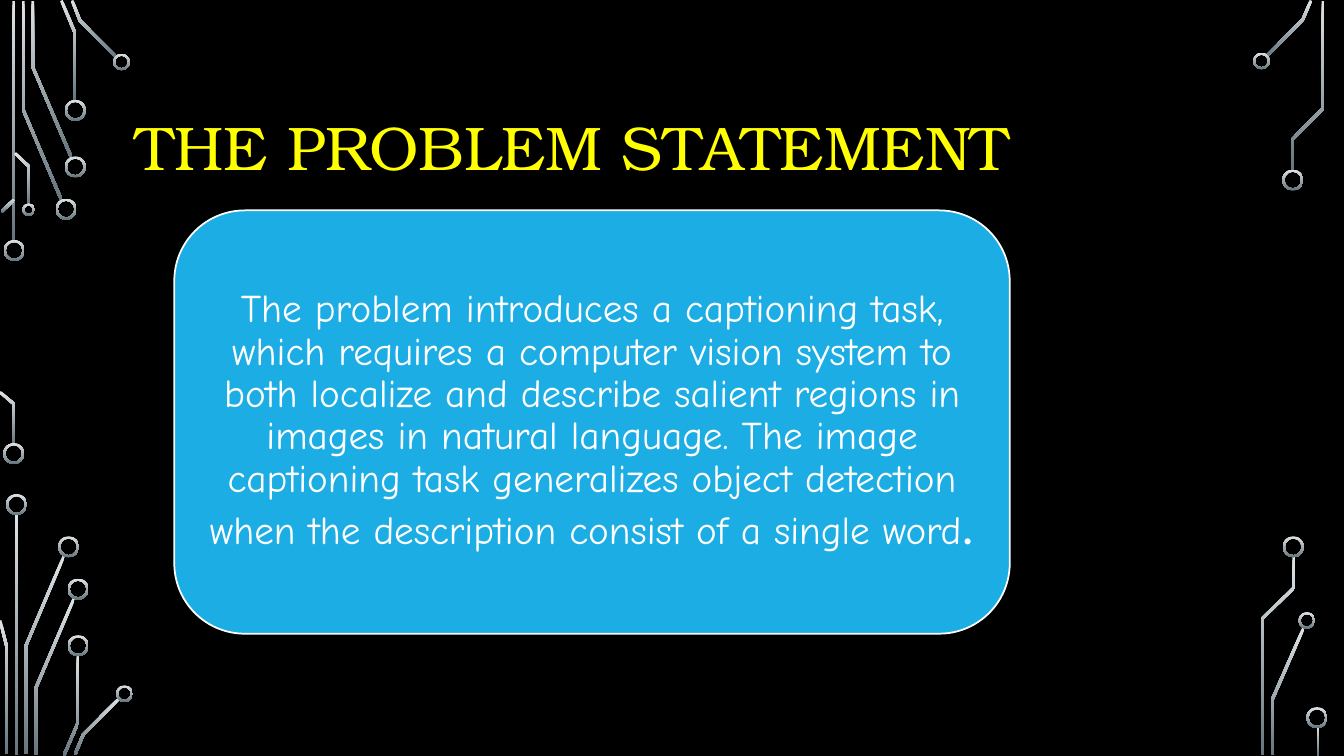
from math import hypot

from pptx import Presentation
from pptx.dml.color import RGBColor
from pptx.enum.shapes import MSO_SHAPE
from pptx.enum.text import MSO_ANCHOR, PP_ALIGN
from pptx.util import Pt

DONUT = MSO_SHAPE.DONUT
ROUND = MSO_SHAPE.ROUNDED_RECTANGLE
MIDDLE = MSO_ANCHOR.MIDDLE
CENTER = PP_ALIGN.CENTER
LEFT = PP_ALIGN.LEFT

BLACK = RGBColor(0x00, 0x00, 0x00)
WHITE = RGBColor(0xFF, 0xFF, 0xFF)
YELLOW = RGBColor(0xFF, 0xFF, 0x00)
BLUE = RGBColor(0x1C, 0xAD, 0xE4)
SILVER = RGBColor(0xDF, 0xE3, 0xE5)
SLATE = RGBColor(0x65, 0x75, 0x7D)

TRACE = 2
RIM = 1.5
BIG, MID, TINY = 15, 12, 9

TITLE = "THE PROBLEM STATEMENT"
BODY = (
    "The problem introduces a captioning task, which requires a computer vision "
    "system to both localize and describe salient regions in images in natural "
    "language. The image captioning task generalizes object detection when the "
    "description consist of a single word"
)

CORNERS = [
    {
        "box": (0, 0),
        "lines": [
            [(9.9, 0.7), (9.9, 172)],
            [(16.6, 0.7), (16.6, 78.5), (43.9, 142.9)],
            [(23.4, 0.7), (23.4, 47.9), (51.1, 112.7)],
            [(43.9, 0.4), (53.7, 23.8), (53.7, 72)],
            [(51.5, 0.4), (57.2, 14.8), (83.2, 41)],
            [(1.1, 151.2), (10.1, 142.6)],
            [(10.8, 109.4), (20.9, 119.2), (20.9, 146.2)],
        ],
        "rings": [
            (10.1, 178.9, BIG), (47.2, 149.4, BIG), (53.8, 119.2, BIG),
            (53.8, 78.8, BIG), (86.8, 44.3, MID), (20.5, 149.8, TINY),
        ],
    },
    {
        "box": (0, 270),
        "lines": [
            [(0, 10.1), (10.1, 18.7), (10.1, 47.5)],
            [(11.7, 97.2), (11.7, 269.3)],
            [(18.4, 268.6), (18.4, 191.5), (45.7, 127.1)],
            [(4.7, 268.6), (4.7, 191.5), (0, 173.2)],
            [(25.6, 269.3), (25.6, 221.4), (52.9, 157.3)],
            [(45.7, 269.6), (55.8, 246.2), (55.8, 198)],
            [(53.6, 268.9), (59.4, 254.9), (85, 229)],
        ],
        "rings": [
            (9.8, 54, BIG), (11.8, 90.4, BIG), (49, 120.6, BIG),
            (55.8, 150.8, BIG), (55.8, 191.2, BIG), (88.9, 225.5, MID),
        ],
    },
    {
        "box": (900, 0),
        "lines": [
            [(5, 40), (30.6, 14), (36.4, 0.4)],
            [(23, 121.7), (23, 99.7), (45, 77.4), (45, 0.7)],
        ],
        "rings": [(1.1, 43.6, MID), (23.4, 128.6, BIG)],
    },
    {
        "box": (900, 370),
        "lines": [
            [(9, 169.3), (9, 129.3), (31, 78.9)],
            [(1.8, 169.3), (1.8, 71.7), (24.1, 50.1), (24.1, 27.4)],
            [(41.4, 149.1), (41.4, 169.3)],
        ],
        "rings": [(33.5, 73.2, MID), (23.8, 20.6, BIG), (40.7, 142.6, BIG)],
    },
]


def style(item, values):
    for name, value in values.items():
        setattr(item, name, value)


def shade(shape):
    shape.shadow.inherit = False
    shape.line.fill.background()
    shape.fill.gradient()
    shape.fill.gradient_angle = 270
    for stop, color in zip(shape.fill.gradient_stops, (SILVER, SLATE)):
        stop.color.rgb = color


def outline(points):
    norms = []
    for (ax, ay), (bx, by) in zip(points, points[1:]):
        size = hypot(bx - ax, by - ay)
        norms.append(((ay - by) / size, (bx - ax) / size))
    near, far = [], []
    for (x, y), (px, py), (qx, qy) in zip(points, norms[:1] + norms, norms + norms[-1:]):
        scale = TRACE / 2 / (1 + px * qx + py * qy)
        dx, dy = (px + qx) * scale, (py + qy) * scale
        near.append((x + dx, y + dy))
        far.append((x - dx, y - dy))
    return near + far[::-1]


def circuit(slide, box, lines, rings):
    left, top = box
    for points in lines:
        edge = [(Pt(left + x), Pt(top + y)) for x, y in outline(points)]
        path = slide.shapes.build_freeform(*edge[0])
        path.add_line_segments(edge[1:], close=True)
        shade(path.convert_to_shape())
    for x, y, size in rings:
        ring = slide.shapes.add_shape(
            DONUT, Pt(left + x - size / 2), Pt(top + y - size / 2), Pt(size), Pt(size))
        ring.adjustments[0] = RIM / size
        shade(ring)


def write(shape, runs, align, frame):
    style(shape.text_frame, {"word_wrap": True, "vertical_anchor": MIDDLE, **frame})
    para = shape.text_frame.paragraphs[0]
    style(para, {"alignment": align, "line_spacing": 0.9})
    for text, font, size, color in runs:
        run = para.add_run()
        run.text = text
        style(run.font, {"name": font, "size": Pt(size)})
        run.font.color.rgb = color


def title(slide, box):
    shape = slide.shapes.add_textbox(*map(Pt, box))
    write(shape, [(TITLE, "TeX Gyre Bonum", 44, YELLOW)], LEFT, {})


def panel(slide, box):
    shape = slide.shapes.add_shape(ROUND, *map(Pt, box))
    shape.shadow.inherit = False
    shape.fill.solid()
    shape.fill.fore_color.rgb = BLUE
    shape.line.color.rgb = WHITE
    shape.line.width = Pt(1.25)
    runs = [(BODY, "Comic Neue", 28, WHITE), (".", "Calibri", 36, WHITE)]
    write(shape, runs, CENTER, {
        "margin_left": Pt(8.4), "margin_right": Pt(8.4),
        "margin_top": Pt(4.2), "margin_bottom": Pt(4.2),
    })


def main():
    deck = Presentation()
    style(deck, {"slide_width": Pt(960), "slide_height": Pt(540)})
    slide = deck.slides.add_slide(deck.slide_layouts[6])
    slide.background.fill.solid()
    slide.background.fill.fore_color.rgb = BLACK
    for corner in CORNERS:
        circuit(slide, **corner)
    title(slide, (90, 49, 780, 116.6))
    panel(slide, (124.5, 150.3, 596.8, 302.4))
    deck.save("out.pptx")


if __name__ == "__main__":
    main()
